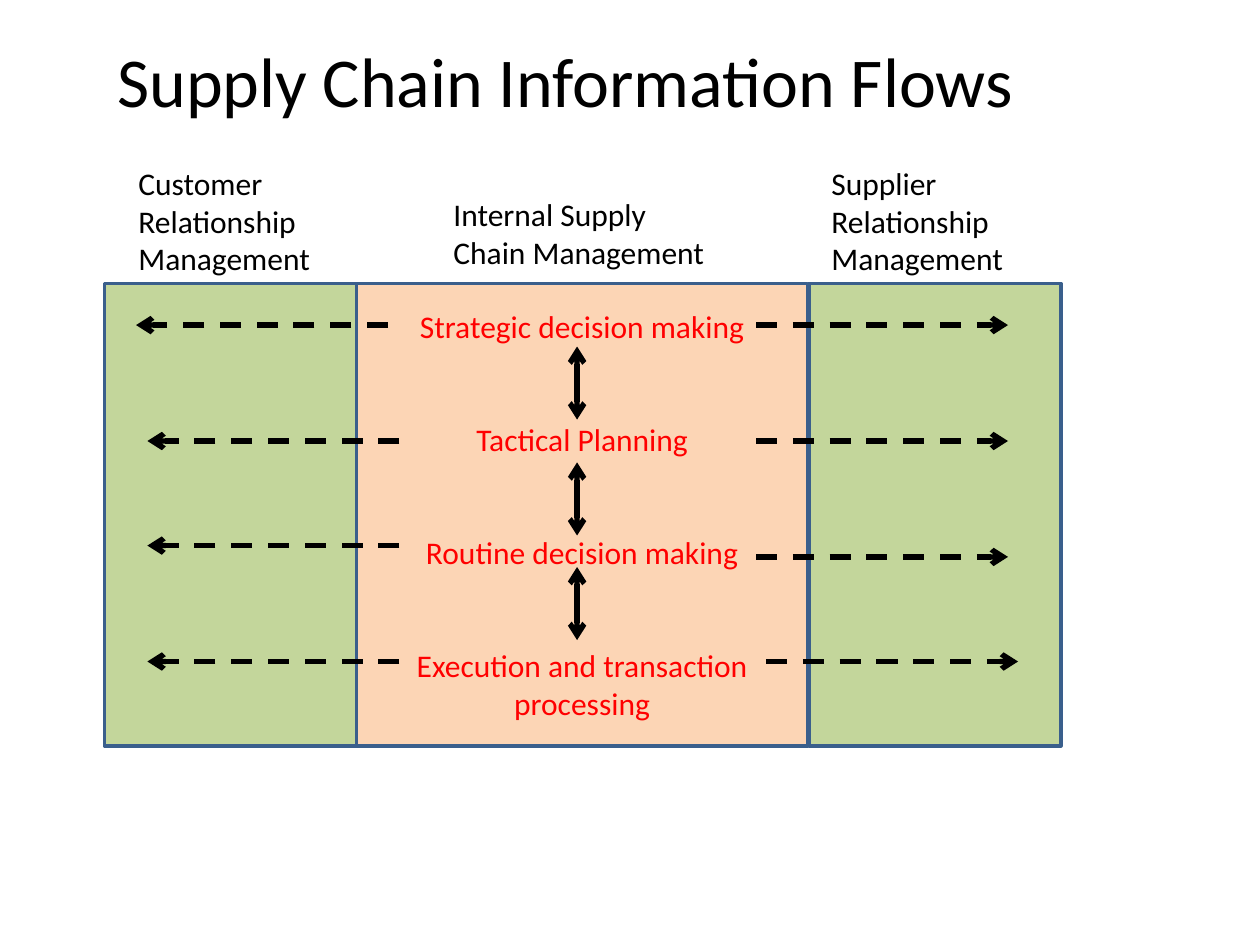
import pptx
import pptx.dml.color
import pptx.enum.dml
import pptx.enum.shapes
import pptx.enum.text
import pptx.oxml.ns
import pptx.oxml.xmlchemy
import pptx.util
from pptx.util import Inches

BLACK, RED = "000000", "FF0000"
GREEN, PEACH, BLUE = "C3D69B", "FCD5B5", "3A5F8C"
ALIGN = pptx.enum.text.PP_ALIGN
ANCHOR = pptx.enum.text.MSO_ANCHOR

BAND_TOP, BAND_HEIGHT = 2.25, 3.67
ARROW_LENGTH = 2
STAGES = ["Strategic decision making", "Tactical Planning",
          "Routine decision making", "Execution and transaction processing"]
HEADINGS = [
    (1, 1.25, 1.58, 1.01, ["Customer", "Relationship", "Management"]),
    (6.5, 1.25, 1.58, 1.01, ["Supplier", "Relationship", "Management"]),
    (3.5, 1.5, 2.22, 0.71, ["Internal Supply", "Chain Management"]),
]
CUSTOMER_STARTS = [(3.08, 2.58), (3.17, 3.5), (3.17, 4.33), (3.17, 5.25)]
SUPPLIER_STARTS = [(6, 2.58), (6, 3.5), (6, 4.42), (6.08, 5.25)]


def color(hex_string):
    return pptx.dml.color.RGBColor.from_string(hex_string)


def write_text(shape, lines, size=18, font_color=BLACK, align=ALIGN.LEFT,
               anchor=ANCHOR.TOP, gap=0, wrap=False):
    """Fill the shape with one paragraph per line, gap points apart."""
    frame = shape.text_frame
    frame.word_wrap = wrap
    frame.vertical_anchor = anchor
    for index, line in enumerate(lines):
        paragraph = frame.add_paragraph() if index else frame.paragraphs[0]
        paragraph.alignment = align
        paragraph.space_before = pptx.util.Pt(gap if index else 0)
        run = paragraph.add_run()
        run.text = line
        run.font.name = "Calibri"
        run.font.size = pptx.util.Pt(size)
        run.font.color.rgb = color(font_color)


def add_title(slide, text):
    title = slide.shapes.title
    title.left, title.top = Inches(0.83), Inches(0.25)
    title.width, title.height = Inches(7.39), Inches(0.77)
    write_text(title, [text], size=40)


def add_band(slide, left, width, fill):
    band = slide.shapes.add_shape(
        pptx.enum.shapes.MSO_SHAPE.RECTANGLE, Inches(left), Inches(BAND_TOP),
        Inches(width), Inches(BAND_HEIGHT))
    band.shadow.inherit = False
    band.fill.solid()
    band.fill.fore_color.rgb = color(fill)
    band.line.color.rgb = color(BLUE)
    band.line.width = pptx.util.Pt(2)
    return band


def add_heading(slide, left, top, width, height, lines):
    box = slide.shapes.add_textbox(
        Inches(left), Inches(top), Inches(width), Inches(height))
    write_text(box, lines)


def add_arrow(slide, start, end, dashed=False, ends=("tailEnd",)):
    arrow = slide.shapes.add_connector(
        pptx.enum.shapes.MSO_CONNECTOR.STRAIGHT,
        *(Inches(value) for value in (*start, *end)))
    arrow.line.color.rgb = color(BLACK)
    arrow.line.width = pptx.util.Pt(3)
    if dashed:
        arrow.line.dash_style = pptx.enum.dml.MSO_LINE.DASH
    properties = arrow.element.find(pptx.oxml.ns.qn("p:spPr"))
    line = properties.find(pptx.oxml.ns.qn("a:ln"))
    for end_name in ends:
        head = pptx.oxml.xmlchemy.OxmlElement(f"a:{end_name}")
        head.set("type", "arrow")
        line.append(head)
    properties.append(pptx.oxml.xmlchemy.OxmlElement("a:effectLst"))


def main():
    presentation = pptx.Presentation()
    presentation.slide_width = Inches(10)
    presentation.slide_height = Inches(7.5)
    slide = presentation.slides.add_slide(presentation.slide_layouts[5])

    add_title(slide, "Supply Chain Information Flows")
    add_band(slide, 0.83, 2, GREEN)
    add_band(slide, 6.42, 2, GREEN)
    internal_band = add_band(slide, 2.83, 3.58, PEACH)
    write_text(internal_band, STAGES, font_color=RED, align=ALIGN.CENTER,
               anchor=ANCHOR.MIDDLE, gap=43, wrap=True)
    for heading in HEADINGS:
        add_heading(slide, *heading)

    for top in (2.75, 3.67, 4.5):
        add_arrow(slide, (4.58, top), (4.58, top + 0.58),
                  ends=("headEnd", "tailEnd"))
    for starts, direction in ((CUSTOMER_STARTS, -1), (SUPPLIER_STARTS, 1)):
        for x, y in starts:
            add_arrow(slide, (x, y), (x + direction * ARROW_LENGTH, y),
                      dashed=True)

    presentation.save("out.pptx")


if __name__ == "__main__":
    main()
